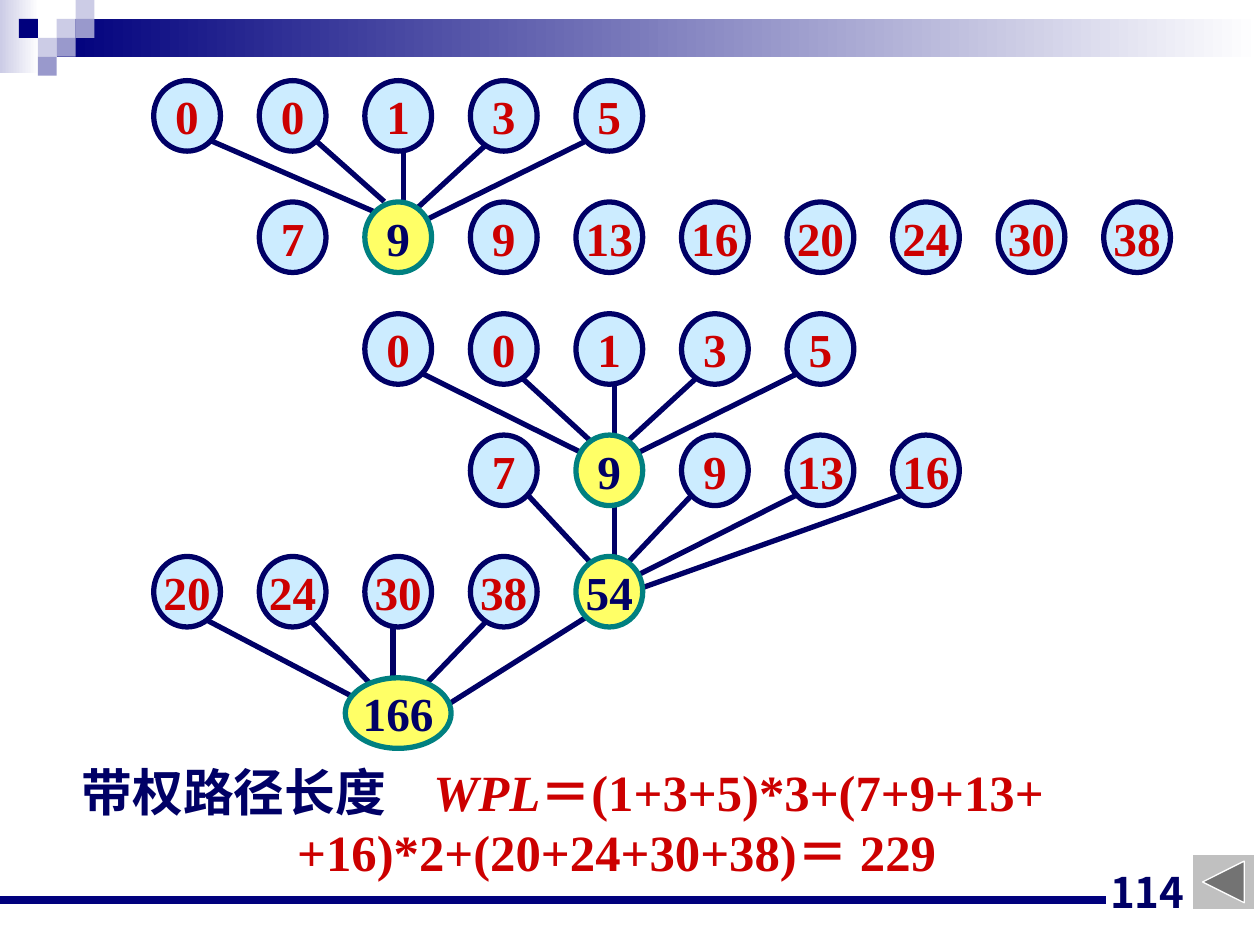
from pptx import Presentation
from pptx.dml.color import RGBColor
from pptx.enum.shapes import MSO_CONNECTOR, MSO_SHAPE
from pptx.enum.text import MSO_ANCHOR, PP_ALIGN
from pptx.oxml.ns import qn
from pptx.util import Inches, Pt
from lxml import etree

RECT, OVAL = MSO_SHAPE.RECTANGLE, MSO_SHAPE.OVAL
BACK = MSO_SHAPE.ACTION_BUTTON_BACK_OR_PREVIOUS
LINE = MSO_CONNECTOR.STRAIGHT
MID, LOW = MSO_ANCHOR.MIDDLE, MSO_ANCHOR.BOTTOM
MIDST, RIGHT = PP_ALIGN.CENTER, PP_ALIGN.RIGHT
SERIF, SANS = "Times New Roman", "Noto Sans CJK JP"
HUES = {
    "navy": "00007D", "ink": "000066", "red": "CC0000", "sky": "CCECFF",
    "gold": "FFFF66", "teal": "008080", "pale": "CCCCE6", "mauve": "9999CC",
    "white": "FFFFFF", "gray": "C0C0C0",
}
PITCH, DROP, WIDE, HIGH = 7.54 / 9, 2.89 / 3, 0.53, 0.56

TOP_ROWS = [(0, "0 0 1 3 5", ""), (1, "7 9 9 13 16 20 24 30 38", "9")]
TOP_LINKS = [
    (3.43, 0.48, 2.13, 1.12), (2.67, 0.48, 2.06, 1.04), (0.46, 0.48, 1.75, 1.04),
    (1.29, 0.48, 1.83, 0.96), (1.98, 0.56, 1.98, 0.96),
]
FULL_ROWS = [
    (2, "0 0 1 3 5", ""), (3, "7 9 9 13 16", "9"),
    (0, "20 24 30 38 54", "54"), (2, "166", "166"),
]
FULL_LINKS = [
    (1.98, 0.4, 3.43, 1.12), (2.89, 0.48, 3.5, 1.04), (3.66, 0.56, 3.66, 0.96),
    (4.34, 0.48, 3.73, 1.04), (5.1, 0.48, 3.81, 1.12),
    (2.97, 1.44, 3.5, 2.01), (3.66, 1.52, 3.66, 1.93), (4.27, 1.44, 3.73, 2.01),
    (5.1, 1.44, 3.81, 2.09), (5.94, 1.44, 3.89, 2.17),
    (0.38, 2.41, 1.6, 3.05), (1.22, 2.41, 1.75, 2.97), (1.9, 2.49, 1.9, 2.89),
    (2.67, 2.41, 2.13, 2.97), (3.43, 2.41, 2.29, 3.13),
]


def rgb(name):
    """Return the named colour."""
    return RGBColor.from_string(HUES[name])


def style(run, size, hue, face=SERIF):
    """Give a run its bold font for both scripts."""
    font = run.font
    font.size, font.bold, font.name = Pt(size), True, face
    font.color.rgb = rgb(hue)
    east = etree.SubElement(run._r.get_or_add_rPr(), qn("a:ea"))
    east.set("typeface", SANS)


def shape(slide, kind, x, y, w, h, fill=None, edge=None, weight=3):
    """Add a flat preset shape."""
    item = slide.shapes.add_shape(kind, Inches(x), Inches(y), Inches(w), Inches(h))
    item.shadow.inherit = False
    if fill:
        item.fill.solid()
        item.fill.fore_color.rgb = rgb(fill)
    if edge:
        item.line.color.rgb = rgb(edge)
        item.line.width = Pt(weight)
    else:
        item.line.fill.background()
    return item


def link(slide, x, y, ends, hue="ink", weight=3):
    """Draw a straight line between ends measured from x, y."""
    a, b, c, d = ends
    line = slide.shapes.add_connector(
        LINE, Inches(x + a), Inches(y + b), Inches(x + c), Inches(y + d))
    line.line.color.rgb = rgb(hue)
    line.line.width = Pt(weight)
    etree.SubElement(line._element.spPr, qn("a:effectLst"))


def fade(slide, x, y, w, h, hue):
    """Add a bar that fades to white on the right."""
    fill = shape(slide, RECT, x, y, w, h).fill
    fill.gradient()
    fill.gradient_angle = 0
    for stop, name in zip(fill.gradient_stops, (hue, "white")):
        stop.color.rgb = rgb(name)


def banner(slide, x, y, w):
    """Place the header bars and the mosaic of squares."""
    fade(slide, x, y, 0.31, 0.58, "pale")
    fade(slide, x + 0.45, y + 0.15, w - 0.45, 0.3, "navy")
    tiles = [(3, 1, "pale"), (4, 0, "pale"), (4, 1, "mauve"), (2, 2, "pale"),
             (1, 1, "navy"), (3, 2, "mauve"), (2, 3, "mauve")]
    for col, row, hue in tiles:
        shape(slide, RECT, x + col * 0.15, y + row * 0.15, 0.15, 0.15, hue)


def node(slide, x, y, text, hot):
    """Place one weight, wider for three digits."""
    wide = 0.84 if len(text) > 2 else WIDE
    fill, edge, hue = ("gold", "teal", "ink") if hot else ("sky", "ink", "red")
    item = shape(slide, OVAL, x + (WIDE - wide) / 2, y, wide, HIGH, fill, edge)
    frame = item.text_frame
    frame.text = text
    frame.word_wrap = False
    frame.vertical_anchor = MID
    para = frame.paragraphs[0]
    para.alignment = MIDST
    style(para.runs[0], 27, hue)


def tree(slide, x, y, rows, links):
    """Place links, then rows of nodes on the grid."""
    for ends in links:
        link(slide, x, y, ends)
    for level, (start, words, total) in enumerate(rows):
        labels = words.split()
        for step, text in enumerate(labels):
            hot = text == total and text not in labels[:step]
            node(slide, x + (start + step) * PITCH, y + level * DROP, text, hot)


def formula(slide, x, y, w, h):
    """Place the weighted path length in two lines."""
    frame = slide.shapes.add_textbox(
        Inches(x), Inches(y), Inches(w), Inches(h)).text_frame
    frame.word_wrap = True
    frame.text = "\n+16)*2+(20+24+30+38)＝ 229"
    first, last = frame.paragraphs
    props = first._p.get_or_add_pPr()
    tab = etree.SubElement(etree.SubElement(props, qn("a:tabLst")), qn("a:tab"))
    tab.set("pos", str(Inches(2.79)))
    tab.set("algn", "l")
    last._p.get_or_add_pPr().set("marL", str(Inches(1.71)))
    parts = [("带权路径长度\t", "ink"), ("WPL", "red"), ("＝(1+3+5)*3+(7+9+13+", "red")]
    for text, hue in parts:
        run = first.add_run()
        run.text = text
        style(run, 29, hue)
        run.font.italic = text == "WPL"
    style(last.runs[0], 29, "red")
    for para in frame.paragraphs:
        para.line_spacing = Pt(34.5)


def footer(slide, x, y, w):
    """Place the rule, the page number and the back button side by side."""
    link(slide, x, y, (0, 0, w - 1.22, 0), "navy", 4.5)
    shape(slide, BACK, x + w - 0.54, y - 0.36, 0.5, 0.44, "gray", "white", 0.75)
    frame = slide.shapes.add_textbox(
        Inches(x + w - 2.83), Inches(y - 0.31), Inches(2.33), Inches(0.5)).text_frame
    frame.word_wrap = True
    frame.vertical_anchor = LOW
    frame.text = "114"
    para = frame.paragraphs[0]
    para.alignment = RIGHT
    style(para.runs[0], 24, "ink", SANS)


def main():
    """Build and save the slide."""
    deck = Presentation()
    deck.slide_width, deck.slide_height = Inches(10), Inches(7.5)
    slide = deck.slides.add_slide(deck.slide_layouts[6])
    banner(slide, 0, 0, 10)
    formula(slide, 0.55, 5.99, 8.82, 1.07)
    tree(slide, 1.22, 0.64, TOP_ROWS, TOP_LINKS)
    tree(slide, 1.22, 2.49, FULL_ROWS, FULL_LINKS)
    footer(slide, 0, 7.14, 10)
    deck.save("out.pptx")


if __name__ == "__main__":
    main()
